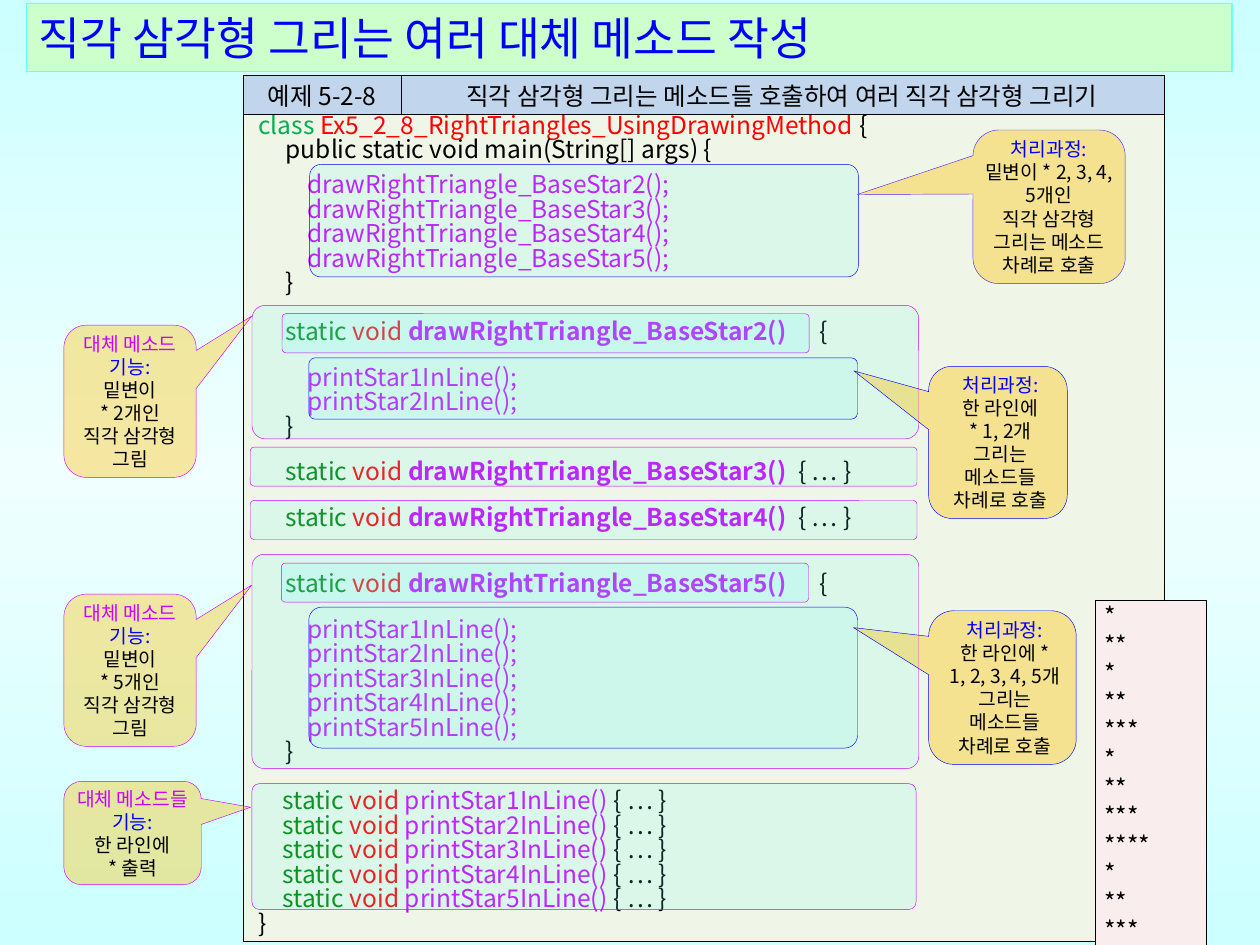
"""Build the slide on alternative methods that draw right triangles."""
from copy import deepcopy

from lxml.etree import SubElement
from pptx import Presentation
from pptx.dml.color import RGBColor
from pptx.enum.shapes import MSO_SHAPE
from pptx.enum.text import MSO_ANCHOR, PP_ALIGN
from pptx.oxml.ns import qn
from pptx.util import Pt

FONT = "Noto Sans CJK KR"
COLORS = {
    "black": "000000", "blue": "0000FF", "violet": "CC00FF", "red": "FF0000",
    "green": "008000", "bright green": "00B050", "indigo": "4F27F9",
    "cyan": "66FFFF", "amber": "FFC000", "mint": "CCFFCC", "sky": "C1D6ED",
    "cream": "EFF6E7", "pink": "F9EDED", "ice": "CCFFFF", "pale": "F0FFFF",
}
RGB = {name: RGBColor.from_string(value) for name, value in COLORS.items()}


def add_text(frame, spans, size=14, align=PP_ALIGN.JUSTIFY, before=0, spacing=None, margin=0):
    para = frame.paragraphs[-1]
    if para.runs:
        para = frame.add_paragraph()
    para.alignment = align
    para.space_before = Pt(before)
    para.line_spacing = spacing
    para._p.get_or_add_pPr().set("marL", str(Pt(margin)))
    para._p.get_or_add_pPr().set("indent", "0")
    for text, color, *bold in spans:
        span = para.add_run()
        span.text = text
        span.font.size = Pt(size)
        span.font.bold = bool(bold)
        span.font.color.rgb = RGB[color]
        span.font.name = FONT
        SubElement(span.font._element, qn("a:ea"), typeface=FONT)


def draw_shape(kind, place, adjustments, fill, alpha, line):
    shape = page.shapes.add_shape(kind, *map(Pt, place))
    for index, value in enumerate(adjustments):
        shape.adjustments[index] = value
    shape.shadow.inherit = False
    shape.fill.solid()
    shape.fill.fore_color.rgb = RGB[fill]
    color = shape.element.xpath("./p:spPr/a:solidFill/a:srgbClr")[0]
    SubElement(color, qn("a:alpha"), val=str(alpha * 1000))
    shape.line.color.rgb = RGB[line]
    shape.line.width = Pt(0.25)
    return shape


deck = Presentation()
deck.slide_width, deck.slide_height = Pt(720), Pt(540)
page = deck.slides.add_slide(deck.slide_layouts[5])

background = page.background.fill
background.gradient()
background.gradient_angle = 90
stops = page.element.xpath(".//a:gsLst")[0]
stops.insert(1, deepcopy(stops[0]))
for stop, position, color in zip(background.gradient_stops, (0, 0.5, 1), ("ice", "pale", "ice")):
    stop.position = position
    stop.color.rgb = RGB[color]

title = page.shapes.title
title.left, title.top, title.width, title.height = Pt(15), Pt(2), Pt(689), Pt(39)
title.fill.solid()
title.fill.fore_color.rgb = RGB["mint"]
title.line.color.rgb = RGB["cyan"]
title.line.width = Pt(0.75)
title.text_frame.vertical_anchor = MSO_ANCHOR.MIDDLE
title.text_frame.word_wrap = True
add_text(title.text_frame, [("직각 삼각형 그리는 여러 대체 메소드 작성", "blue")], size=26, align=PP_ALIGN.LEFT)

code_table = page.shapes.add_table(2, 2, Pt(139), Pt(43), Pt(526), Pt(495)).table
code_table.columns[0].width, code_table.columns[1].width = Pt(90), Pt(436)
code_table.rows[0].height, code_table.rows[1].height = Pt(22.5), Pt(472.5)
code_table.cell(1, 0).merge(code_table.cell(1, 1))
star_table = page.shapes.add_table(1, 1, Pt(626), Pt(343), Pt(63), Pt(191)).table

cells = [
    (code_table.cell(0, 0), "sky", 3.6, 0.72),
    (code_table.cell(0, 1), "sky", 3.6, 0.72),
    (code_table.cell(1, 0), "cream", 3.6, 0.72),
    (code_table.cell(1, 1), "cream", 3.6, 0.72),
    (star_table.cell(0, 0), "pink", 5, 1.4),
]
for cell, color, side, edge in cells:
    cell.vertical_anchor = MSO_ANCHOR.MIDDLE
    cell.margin_left = cell.margin_right = Pt(side)
    cell.margin_top = cell.margin_bottom = Pt(edge)
    for tag in ("a:lnL", "a:lnR", "a:lnT", "a:lnB"):
        border = SubElement(cell._tc.get_or_add_tcPr(), qn(tag), w=str(Pt(0.28)))
        SubElement(SubElement(border, qn("a:solidFill")), qn("a:srgbClr"), val=COLORS["black"])
    cell.fill.solid()
    cell.fill.fore_color.rgb = RGB[color]
for table in (code_table, star_table):
    table.first_row = table.horz_banding = False

headings = ["예제 5-2-8", "직각 삼각형 그리는 메소드들 호출하여 여러 직각 삼각형 그리기"]
for column, heading in enumerate(headings):
    add_text(code_table.cell(0, column).text_frame, [(heading, "black")], align=PP_ALIGN.CENTER)

code = [
    (0, [("class ", "bright green"), ("Ex5_2_8_RightTriangles_UsingDrawingMethod ", "red"), ("{", "black")]),
    (0, [("     public static void main(String[] args) {", "black")]),
]
for number in range(2, 6):
    code.append((6 if number == 2 else 0, [(f"         drawRightTriangle_BaseStar{number}();", "violet")]))
code.append((0, [("     }", "black")]))
for number, before, opening in ((2, 14, "     {"), (3, 12, " { … }"), (4, 12, " { … }"), (5, 24, "     {")):
    name = f"drawRightTriangle_BaseStar{number}() "
    code.append((before, [("     static", "green"), (" void ", "red"), (name, "violet", True), (opening, "black")]))
    if number in (2, 5):
        for line in range(1, number + 1):
            code.append((12 if line == 1 else 0, [(f"         printStar{line}InLine();", "violet")]))
        code.append((0, [("     }", "black")]))
code_frame = code_table.cell(1, 0).text_frame
for before, spans in code:
    add_text(code_frame, spans, before=before, spacing=Pt(14), margin=5)
for number in range(1, 6):
    spans = [("      static", "green"), (" void ", "red"), (f"printStar{number}InLine() ", "violet"), ("{ … }", "black")]
    add_text(code_frame, spans, align=PP_ALIGN.LEFT, before=14 if number == 1 else 0, spacing=Pt(14))
add_text(code_frame, [("}", "black")], spacing=Pt(14), margin=5)

for count in (1, 2, 1, 2, 3, 1, 2, 3, 4, 1, 2, 3):
    add_text(star_table.cell(0, 0).text_frame, [("*" * count, "black")], spacing=0.8)

panels = [
    ((144, 316.8, 381, 122.4), 0.056, 15, "violet"),
    ((144, 174.5, 381, 76.3), 0.1, 15, "violet"),
    ((144, 447.8, 379.5, 72), 0.06, 15, "violet"),
    ((177, 94, 313.5, 64.3), 0.1, 15, "blue"),
    ((176.5, 347, 313.5, 80.5), 0.09, 10, "blue"),
    ((176.5, 204.5, 313.5, 35), 0.1, 10, "blue"),
    ((143, 255.5, 381, 22.3), 0.1, 15, "violet"),
    ((143, 286, 381, 22.3), 0.1, 15, "violet"),
    ((160.8, 321.8, 301.2, 22.3), 0.1, 15, "violet"),
    ((161.2, 179.3, 301.2, 22.3), 0.1, 15, "violet"),
]
for place, corner, alpha, line in panels:
    draw_shape(MSO_SHAPE.ROUNDED_RECTANGLE, place, [corner], "cyan", alpha, line)

function_head = [("대체 메소드", "violet"), ("기능:", "blue")]
process_head = [("처리과정:", "blue")]
callouts = [
    ((36.5, 185.8, 75.6, 87), (0.92, -0.56), "violet", 0, function_head,
     ["밑변이", "* 2개인", "직각 삼각형", "그림"]),
    ((36.5, 339.5, 75.6, 87), (0.92, -0.56), "violet", 0, function_head,
     ["밑변이", "* 5개인", "직각 삼각형", "그림"]),
    ((36.5, 446.5, 78.5, 59), (0.86, -0.25), "violet", 0, [("대체 메소드들", "violet"), ("기능:", "blue")],
     ["한 라인에", "* 출력"]),
    ((556, 74.3, 87, 87.8), (-1.26, -0.08), "indigo", 0, process_head,
     ["밑변이 * 2, 3, 4, 5개인", "직각 삼각형", "그리는 메소드", "차례로 호출"]),
    ((530.7, 209.3, 79.2, 87), (-1.04, -0.47), "blue", 2.9, process_head,
     ["한 라인에", "* 1, 2개", "그리는", "메소드들", "차례로 호출"]),
    ((530.7, 349, 84.3, 87.8), (-1.01, -0.39), "blue", 2.9, process_head,
     ["한 라인에 *", "1, 2, 3, 4, 5개", "그리는", "메소드들", "차례로 호출"]),
]
for place, tip, line, inset, head, body in callouts:
    callout = draw_shape(MSO_SHAPE.ROUNDED_RECTANGULAR_CALLOUT, place, [*tip, 0.17], "amber", 37, line)
    frame = callout.text_frame
    frame.word_wrap = True
    frame.vertical_anchor = MSO_ANCHOR.MIDDLE
    frame.margin_left = Pt(inset)
    frame.margin_right = frame.margin_top = frame.margin_bottom = Pt(0)
    for span in head + [(text, "black") for text in body]:
        add_text(frame, [span], size=11, align=PP_ALIGN.CENTER, spacing=Pt(13.2))

deck.save("out.pptx")
